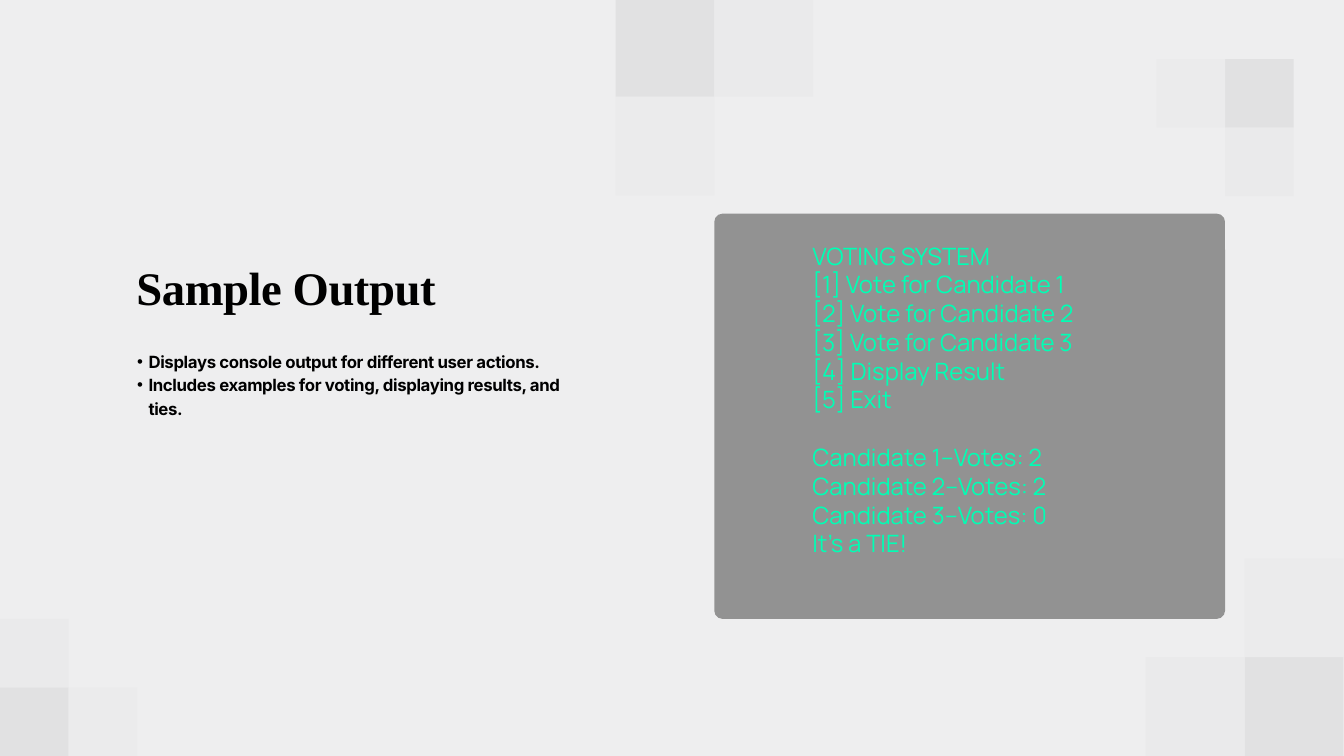
from lxml.etree import SubElement
from pptx import Presentation
from pptx.dml.color import RGBColor
from pptx.enum.shapes import MSO_SHAPE as Kind
from pptx.enum.text import MSO_ANCHOR as Anchor, MSO_AUTO_SIZE as Fit, PP_ALIGN as Align
from pptx.oxml.ns import qn
from pptx.util import Inches, Pt


def tint(fill, code):
    fill.solid()
    fill.fore_color.rgb = RGBColor.from_string(code)


def write(box, lines, font, size, lead, color="000000", bold=False, track=0, hang=0, gaps=()):
    frame = box.text_frame
    frame.word_wrap = True
    frame.auto_size = Fit.NONE
    frame.vertical_anchor = Anchor.TOP
    frame.margin_left = frame.margin_top = frame.margin_right = frame.margin_bottom = 0
    for i, line in enumerate(lines):
        para = frame.paragraphs[0] if i == 0 else frame.add_paragraph()
        para.alignment = Align.LEFT
        para.line_spacing = Pt(lead)
        para.space_before = Pt(lead if i in gaps else 0)
        if hang:
            props = para._p.get_or_add_pPr()
            props.set("marL", str(Inches(hang)))
            props.set("indent", str(-Inches(hang)))
            SubElement(props, qn("a:buChar")).set("char", "•")
        run = para.add_run()
        run.text = line
        run.font.name = font
        run.font.size = Pt(size)
        run.font.bold = bold
        tint(run.font.fill, color)
        run._r.get_or_add_rPr().set("spc", str(int(track * 100)))


deck = Presentation()
deck.slide_width, deck.slide_height = Inches(20), Inches(11.25)
slide = deck.slides.add_slide(deck.slide_layouts[1])
tint(slide.background.fill, "EEEEEF")

clusters = [
    (0, 10.23, 1.02, (1, 0), (0, -1)),
    (18.23, 0.88, 1.02, (-1, 0), (0, 1)),
    (9.16, -0.03, 1.47, (0, 1), (1, 0)),
    (18.52, 9.78, 1.47, (0, -1), (-1, 0)),
]
blocks = []
for left, top, side, near, far in clusters:
    for (col, row), code in zip([(0, 0), near, far], ["E1E1E2", "EBEBEC", "EAEAEB"]):
        blocks.append((Kind.RECTANGLE, left + col * side, top + row * side, side, side, code))
blocks.append((Kind.ROUNDED_RECTANGLE, 10.63, 3.18, 7.6, 6.03, "929292"))

for kind, left, top, width, height, code in blocks:
    block = slide.shapes.add_shape(kind, Inches(left), Inches(top), Inches(width), Inches(height))
    block.shadow.inherit = False
    block.line.fill.background()
    tint(block.fill, code)
    if kind == Kind.ROUNDED_RECTANGLE:
        block.adjustments[0] = 0.02

title = slide.shapes.title
title.left, title.top, title.width, title.height = map(Inches, (2.03, 3.92, 7.76, 0.78))
write(title, ["Sample Output"], "Times New Roman", 50, 55, bold=True, track=-0.5)

body = slide.placeholders[1]
body.left, body.top, body.width, body.height = map(Inches, (2.04, 5.18, 6.79, 1.37))
points = [
    "Displays console output for different user actions.",
    "Includes examples for voting, displaying results, and ties.",
]
write(body, points, "Inter", 18, 25.2, bold=True, track=-0.4, hang=0.17)

console = slide.shapes.add_textbox(Inches(12.09), Inches(3.59), Inches(6.14), Inches(4.73))
output = [
    "VOTING SYSTEM",
    "[1] Vote for Candidate 1",
    "[2] Vote for Candidate 2",
    "[3] Vote for Candidate 3",
    "[4] Display Result",
    "[5] Exit",
    "Candidate 1--Votes: 2",
    "Candidate 2--Votes: 2",
    "Candidate 3--Votes: 0",
    "It's a TIE!",
]
write(console, output, "Manrope", 25.6, 30.8, color="00FFB4", gaps=[6])

deck.save("out.pptx")
